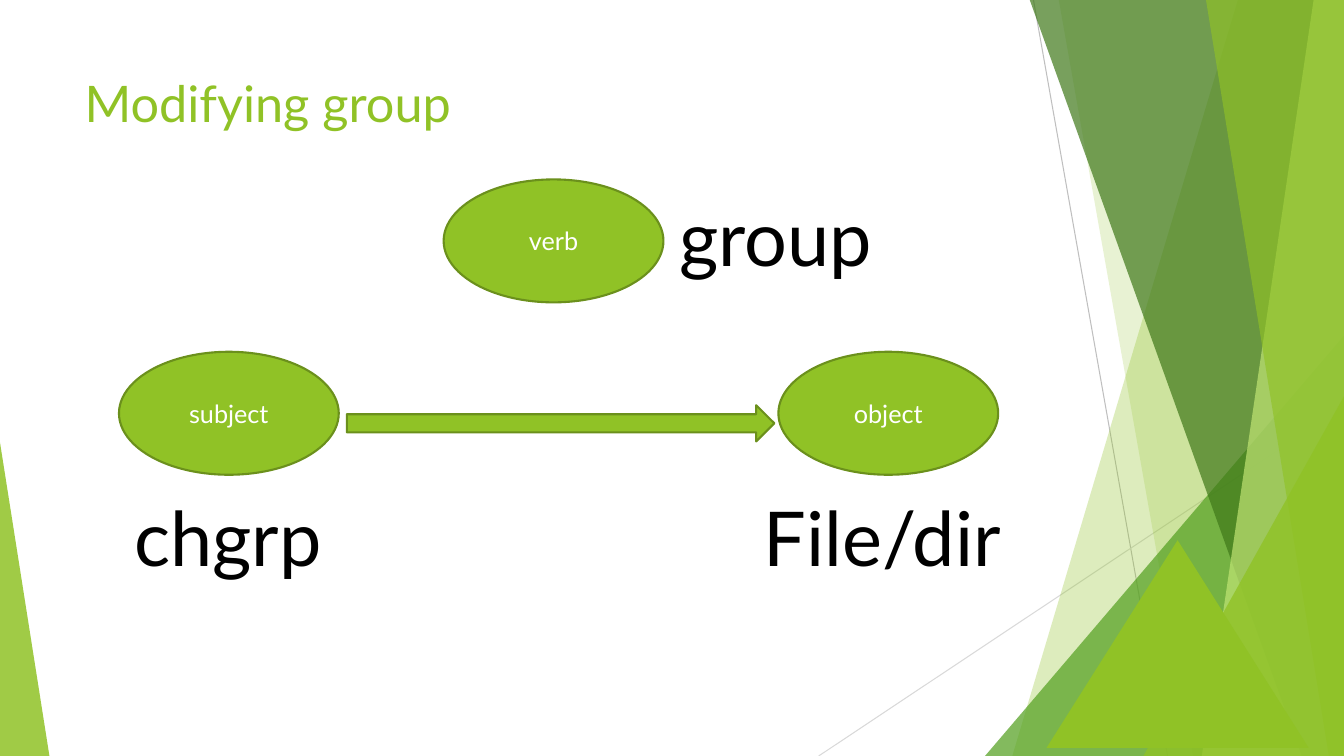
from lxml.etree import SubElement
from pptx import Presentation
from pptx.dml.color import RGBColor
from pptx.enum.shapes import MSO_CONNECTOR as Connector, MSO_SHAPE as Shape
from pptx.enum.text import MSO_ANCHOR as Anchor, MSO_AUTO_SIZE as AutoSize, PP_ALIGN as Align
from pptx.oxml.ns import qn
from pptx.util import Inches, Pt

WIDTH, HEIGHT, TOP = 13.33, 7.5, -0.01
GREEN = RGBColor(0x90, 0xC2, 0x26)
OUTLINE = RGBColor(0x6B, 0x90, 0x1C)
MID_GREEN = RGBColor(0x54, 0xA0, 0x21)
DARK_GREEN = RGBColor(0x3F, 0x78, 0x19)
PALE_GREEN = RGBColor(0xC0, 0xE4, 0x74)
GREY = RGBColor(0xBF, 0xBF, 0xBF)
LIGHT_GREY = RGBColor(0xD9, 0xD9, 0xD9)
WHITE = RGBColor(0xFF, 0xFF, 0xFF)
BLACK = RGBColor(0x00, 0x00, 0x00)


class Page:
    font_name = "Lato"

    def __init__(self, deck):
        self.shapes = deck.slides.add_slide(deck.slide_layouts[6]).shapes

    def paint(self, shape, color, opacity=100, outline=None):
        shape.shadow.inherit = False
        shape.fill.solid()
        shape.fill.fore_color.rgb = color
        if opacity < 100:
            color_node = shape._element.spPr.find(qn("a:solidFill"))[0]
            SubElement(color_node, qn("a:alpha"), val=str(opacity * 1000))
        if outline is None:
            shape.line.fill.background()
        else:
            shape.line.color.rgb = outline
            shape.line.width = Pt(1.5)

    def label(self, shape, text, size, color, align=Align.CENTER):
        para = shape.text_frame.paragraphs[0]
        para.text = text
        para.alignment = align
        para.font.name = self.font_name
        para.font.size = Pt(size)
        para.font.color.rgb = color

    def line(self, start, end, color):
        ends = [Inches(value) for value in (*start, *end)]
        line = self.shapes.add_connector(Connector.STRAIGHT, *ends)
        line.line.color.rgb = color
        line.line.width = Pt(0.75)
        SubElement(line._element.spPr, qn("a:effectLst"))

    def band(self, top_left, bottom_left, color, opacity):
        """A four-sided band that reaches the right edge of the page."""
        corners = [(top_left, TOP), (WIDTH, TOP), (WIDTH, HEIGHT), (bottom_left, HEIGHT)]
        points = [(Inches(x), Inches(y)) for x, y in corners]
        builder = self.shapes.build_freeform(*points[0])
        builder.add_line_segments(points[1:], close=True)
        self.paint(builder.convert_to_shape(), color, opacity)

    def shape(self, kind, frame, color=GREEN, opacity=100, outline=None):
        shape = self.shapes.add_shape(kind, *(Inches(value) for value in frame))
        self.paint(shape, color, opacity, outline)
        return shape

    def triangle(self, frame, apex=0.5, color=GREEN, opacity=100):
        triangle = self.shape(Shape.ISOSCELES_TRIANGLE, frame, color, opacity)
        triangle.adjustments[0] = apex

    def oval(self, left, top, text):
        oval = self.shape(Shape.OVAL, (left, top, 2.18, 1.22), outline=OUTLINE)
        oval.text_frame.vertical_anchor = Anchor.MIDDLE
        self.label(oval, text, 18, WHITE)

    def text(self, frame, text, size, color=BLACK, align=Align.CENTER, wrap=True, grow=True):
        box = self.shapes.add_textbox(*(Inches(value) for value in frame))
        box.text_frame.word_wrap = wrap
        box.text_frame.auto_size = AutoSize.SHAPE_TO_FIT_TEXT if grow else AutoSize.NONE
        self.label(box, text, size, color, align)


def main():
    deck = Presentation()
    deck.slide_width, deck.slide_height = Inches(WIDTH), Inches(HEIGHT)
    page = Page(deck)

    # Backdrop of thin lines and translucent facets
    page.line((10.25, 0), (11.58, HEIGHT), GREY)
    page.line((WIDTH, 4.03), (8.12, HEIGHT), LIGHT_GREY)
    page.band(12.28, 10.04, GREEN, 30)
    page.band(10.5, 11.83, GREEN, 20)
    page.triangle((9.77, 3.33, 3.56, 4.17), 1, MID_GREEN, 72)
    page.band(10.21, 12.91, DARK_GREEN, 70)
    page.band(13.03, 11.92, PALE_GREEN, 70)
    page.band(11.96, 13.18, GREEN, 65)
    page.triangle((11.34, 3.93, 1.99, 3.57), 1, opacity=80)
    page.triangle((0, 4.39, 0.49, 3.11), 0, opacity=85)

    # Title
    page.text((0.74, 0.67, 9.4, 1.44), "Modifying group", 36, GREEN, Align.LEFT, grow=False)

    # Subject, verb and object
    page.oval(1.18, 3.49, "subject")
    page.oval(4.4, 1.78, "verb")
    page.oval(7.72, 3.49, "object")
    page.shape(Shape.RIGHT_ARROW, (3.44, 4.02, 4.24, 0.36), outline=OUTLINE)

    # Command parts beside the ovals
    page.text((1.04, 4.82, 2.44, 1.01), "chgrp", 54)
    page.text((7.36, 4.82, 2.78, 1.01), "File/dir", 54, wrap=False)
    page.text((6.58, 1.84, 2.23, 1.01), "group", 54)

    # Corner triangle
    page.triangle((10.38, 5.36, 2.6, 2.06))

    deck.save("out.pptx")


if __name__ == "__main__":
    main()
